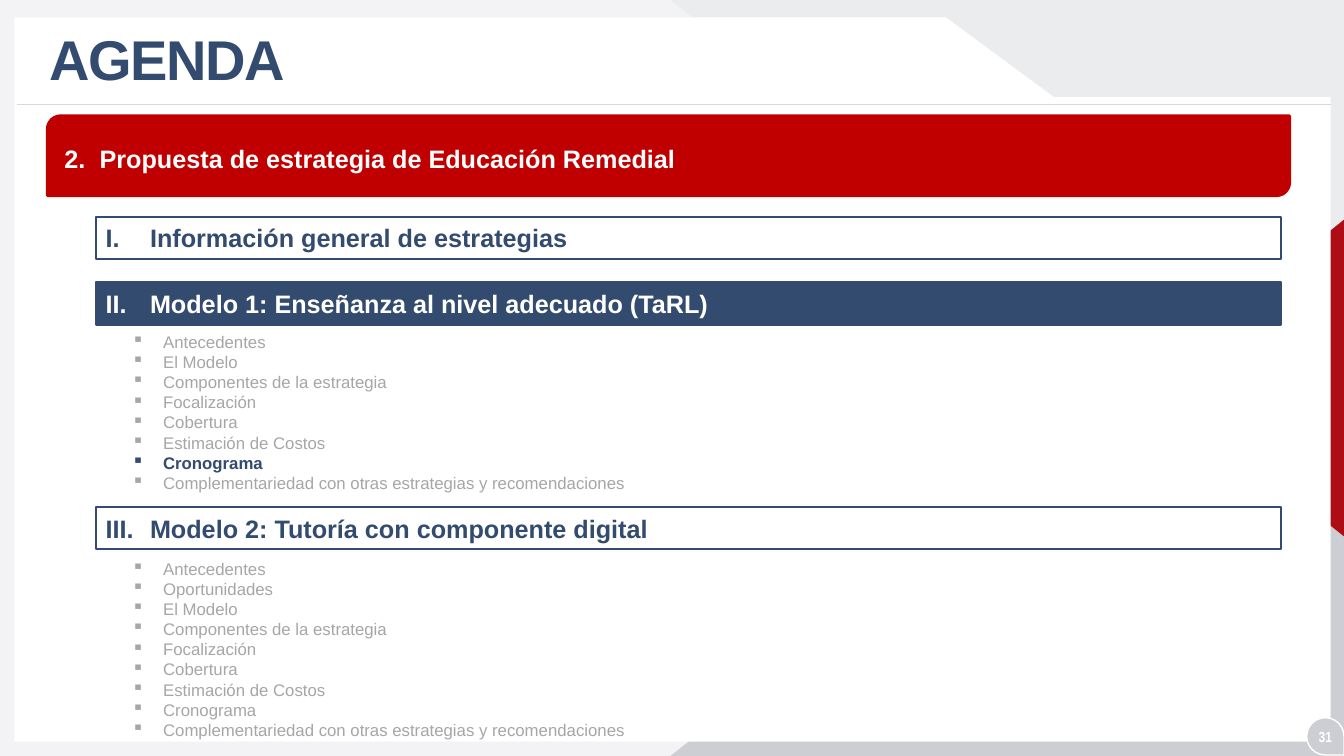
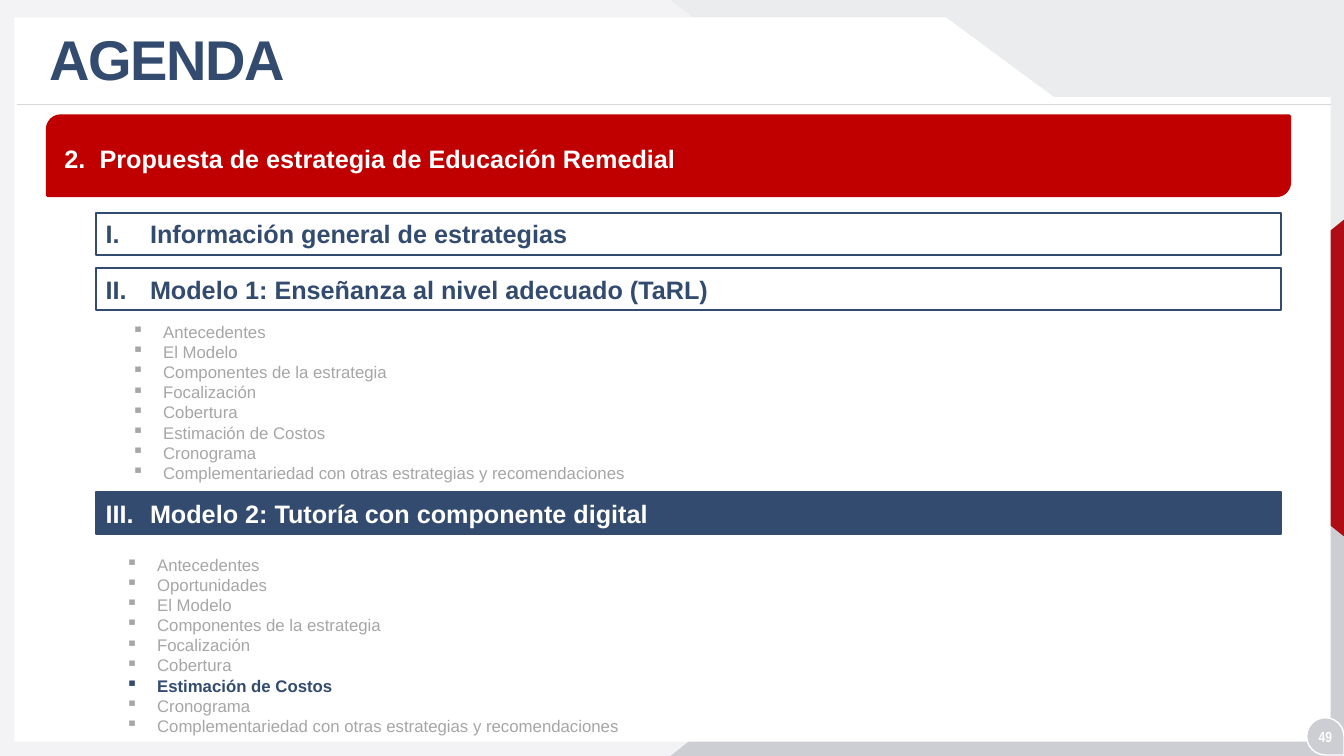
from lxml import etree
from pptx import Presentation
from pptx.dml.color import RGBColor
from pptx.enum.shapes import MSO_CONNECTOR, MSO_SHAPE
from pptx.enum.text import MSO_ANCHOR, PP_ALIGN
from pptx.oxml.ns import qn
from pptx.util import Inches, Pt

RECTANGLE = MSO_SHAPE.RECTANGLE
TRIANGLE = MSO_SHAPE.ISOSCELES_TRIANGLE
TEARDROP = MSO_SHAPE.TEAR
BANNER = MSO_SHAPE.ROUND_2_DIAG_RECTANGLE
STRAIGHT = MSO_CONNECTOR.STRAIGHT
TOP, MIDDLE = MSO_ANCHOR.TOP, MSO_ANCHOR.MIDDLE
LEFT, CENTER = PP_ALIGN.LEFT, PP_ALIGN.CENTER


class Theme:
    NAVY = "324B6E"
    RED = "C00000"
    DARK_RED = "AF0D15"
    WHITE = "FFFFFF"
    MUTED = "A6A6A6"
    RULE = "D9D9D9"
    BACKDROP = "F3F3F5"
    PALE = "EBECEE"
    SILVER = "CDCED3"
    FONT = "Arial"
    NUMBER_FONT = "Arial Narrow"
    TITLE, HEADING, ITEM, NUMBER = 40, 18, 12, 10.5


# Content
TITLE = "AGENDA"
CHAPTER_NUMBER = 2
CHAPTER = "Propuesta de estrategia de Educación Remedial"
STEPS = [
    "El Modelo",
    "Componentes de la estrategia",
    "Focalización",
    "Cobertura",
    "Estimación de Costos",
    "Cronograma",
    "Complementariedad con otras estrategias y recomendaciones",
]
SECTIONS = [
    ("Información general de estrategias", []),
    ("Modelo 1: Enseñanza al nivel adecuado (TaRL)", ["Antecedentes"] + STEPS),
    ("Modelo 2: Tutoría con componente digital",
     ["Antecedentes", "Oportunidades"] + STEPS),
]
# Lists give (left, top, height) for the sections that have items
AGENDAS = [
    {"number": "31", "section": 1, "item": "Cronograma",
     "bars": [2.15, 2.8, 5.03],
     "lists": [None, (1.21, 3.24, 1.92), (1.21, 5.49, 1.92)]},
    {"number": "49", "section": 2, "item": "Estimación de Costos",
     "bars": [2.11, 2.66, 4.88],
     "lists": [None, (1.21, 3.14, 1.72), (1.15, 5.45, 1.92)]},
]

# Layout, in inches
WIDTH, HEIGHT = 13.33, 7.5
BAR_LEFT, BAR_WIDTH, BAR_HEIGHT = 0.95, 11.76, 0.42
LIST_WIDTH = 11.24
PANEL = [(0.15, 0.18), (9.38, 0.18), (10.45, 0.97), (13.19, 0.97),
         (13.19, 7.35), (0.15, 7.35)]
# Preset, left, top, width, height, fill, rotation, apex position
BACKGROUND = [
    (RECTANGLE, 0, 0, WIDTH, HEIGHT, Theme.BACKDROP, 0, None),
    (TRIANGLE, 6.65, 0, 6.69, 5.31, Theme.PALE, 180, 0),
    (TRIANGLE, 6.65, 2.19, 6.69, 5.31, Theme.SILVER, 0, 1),
    (TRIANGLE, 10.78, 2.77, 3.15, 1.96, Theme.DARK_RED, 270, 0.5),
]


def paint(shape, fill=None, line=None, line_width=1):
    shape.shadow.inherit = False
    if fill:
        shape.fill.solid()
        shape.fill.fore_color.rgb = RGBColor.from_string(fill)
    else:
        shape.fill.background()
    if line:
        shape.line.color.rgb = RGBColor.from_string(line)
        shape.line.width = Pt(line_width)
    else:
        shape.line.fill.background()
    return shape


def add_preset(page, preset, left, top, width, height, **style):
    shape = page.shapes.add_shape(
        preset, Inches(left), Inches(top), Inches(width), Inches(height))
    return paint(shape, **style)


def add_text_box(page, left, top, width, height):
    return page.shapes.add_textbox(
        Inches(left), Inches(top), Inches(width), Inches(height))


def set_bullet(para, indent, tag, **attributes):
    properties = para._p.get_or_add_pPr()
    properties.set("marL", str(Inches(indent)))
    properties.set("indent", str(-Inches(indent)))
    bullet = etree.SubElement(properties, qn(tag))
    for name, value in attributes.items():
        bullet.set(name, str(value))


def write(para, text, size=Theme.HEADING, color=Theme.NAVY, bold=True,
          font=Theme.FONT, align=LEFT, spacing=None, tracking=None):
    para.alignment = align
    if spacing:
        para.line_spacing = spacing
    span = para.add_run()
    span.text = text
    span.font.name = font
    span.font.size = Pt(size)
    span.font.bold = bold
    span.font.color.rgb = RGBColor.from_string(color)
    if tracking:
        span._r.get_or_add_rPr().set("spc", str(tracking))


def first_paragraph(box, anchor=TOP):
    frame = box.text_frame
    frame.word_wrap = True
    frame.vertical_anchor = anchor
    return frame.paragraphs[0]


def add_background(page):
    for preset, left, top, width, height, fill, rotation, apex in BACKGROUND:
        shape = add_preset(page, preset, left, top, width, height, fill=fill)
        shape.rotation = rotation
        if apex is not None:
            shape.adjustments[0] = apex

    # White content panel
    points = [(Inches(x), Inches(y)) for x, y in PANEL]
    outline = page.shapes.build_freeform(*points[0])
    outline.add_line_segments(points[1:], close=True)
    paint(outline.convert_to_shape(), fill=Theme.WHITE, line=Theme.WHITE)

    # Rule under the title
    rule = page.shapes.add_connector(
        STRAIGHT, Inches(0.17), Inches(1.04), Inches(13.2), Inches(1.04))
    rule.line.color.rgb = RGBColor.from_string(Theme.RULE)
    rule.line.width = Pt(0.5)
    etree.SubElement(rule._element.spPr, qn("a:effectLst"))


def add_header(page, number):
    badge = add_preset(page, TEARDROP, 12.96, 7.12, 0.37, 0.37,
                       fill=Theme.SILVER, line=Theme.WHITE)
    badge.rotation = 90
    number_box = add_text_box(page, 12.91, 7.17, 0.47, 0.28)
    write(first_paragraph(number_box, MIDDLE), number, size=Theme.NUMBER,
          color=Theme.WHITE, font=Theme.NUMBER_FONT, align=CENTER)

    title_box = add_text_box(page, 0.39, 0.22, 9.66, 0.79)
    write(first_paragraph(title_box, MIDDLE), TITLE, size=Theme.TITLE,
          spacing=0.9, tracking=-100)

    # Chapter banner
    add_preset(page, BANNER, 0.47, 1.15, 12.32, 0.79,
               fill=Theme.RED, line=Theme.RED, line_width=2.25)
    para = first_paragraph(add_text_box(page, 0.54, 1.37, 11.74, 0.4))
    set_bullet(para, 0.35, "a:buAutoNum", type="arabicPeriod",
               startAt=CHAPTER_NUMBER)
    write(para, CHAPTER, color=Theme.WHITE)


def add_section_bar(page, top, index, heading, active):
    bar = add_preset(page, RECTANGLE, BAR_LEFT, top, BAR_WIDTH, BAR_HEIGHT,
                     fill=Theme.NAVY if active else None,
                     line=Theme.NAVY, line_width=1.5)
    para = first_paragraph(bar, MIDDLE)
    set_bullet(para, 0.44, "a:buAutoNum", type="romanUcPeriod",
               startAt=index + 1)
    write(para, heading, color=Theme.WHITE if active else Theme.NAVY)


def add_item_list(page, place, items, current):
    left, top, height = place
    box = add_text_box(page, left, top, LIST_WIDTH, height)
    para = first_paragraph(box)
    for position, item in enumerate(items):
        if position:
            para = box.text_frame.add_paragraph()
        set_bullet(para, 0.31, "a:buChar", char="▪")
        write(para, item, size=Theme.ITEM, bold=item == current,
              color=Theme.NAVY if item == current else Theme.MUTED)


def main():
    deck = Presentation()
    deck.slide_width, deck.slide_height = Inches(WIDTH), Inches(HEIGHT)
    blank = deck.slide_layouts[6]
    for agenda in AGENDAS:
        page = deck.slides.add_slide(blank)
        add_background(page)
        add_header(page, agenda["number"])
        for index, (heading, items) in enumerate(SECTIONS):
            active = index == agenda["section"]
            add_section_bar(page, agenda["bars"][index], index, heading, active)
            if items:
                add_item_list(page, agenda["lists"][index], items,
                              agenda["item"] if active else None)
    deck.save("out.pptx")


if __name__ == "__main__":
    main()
